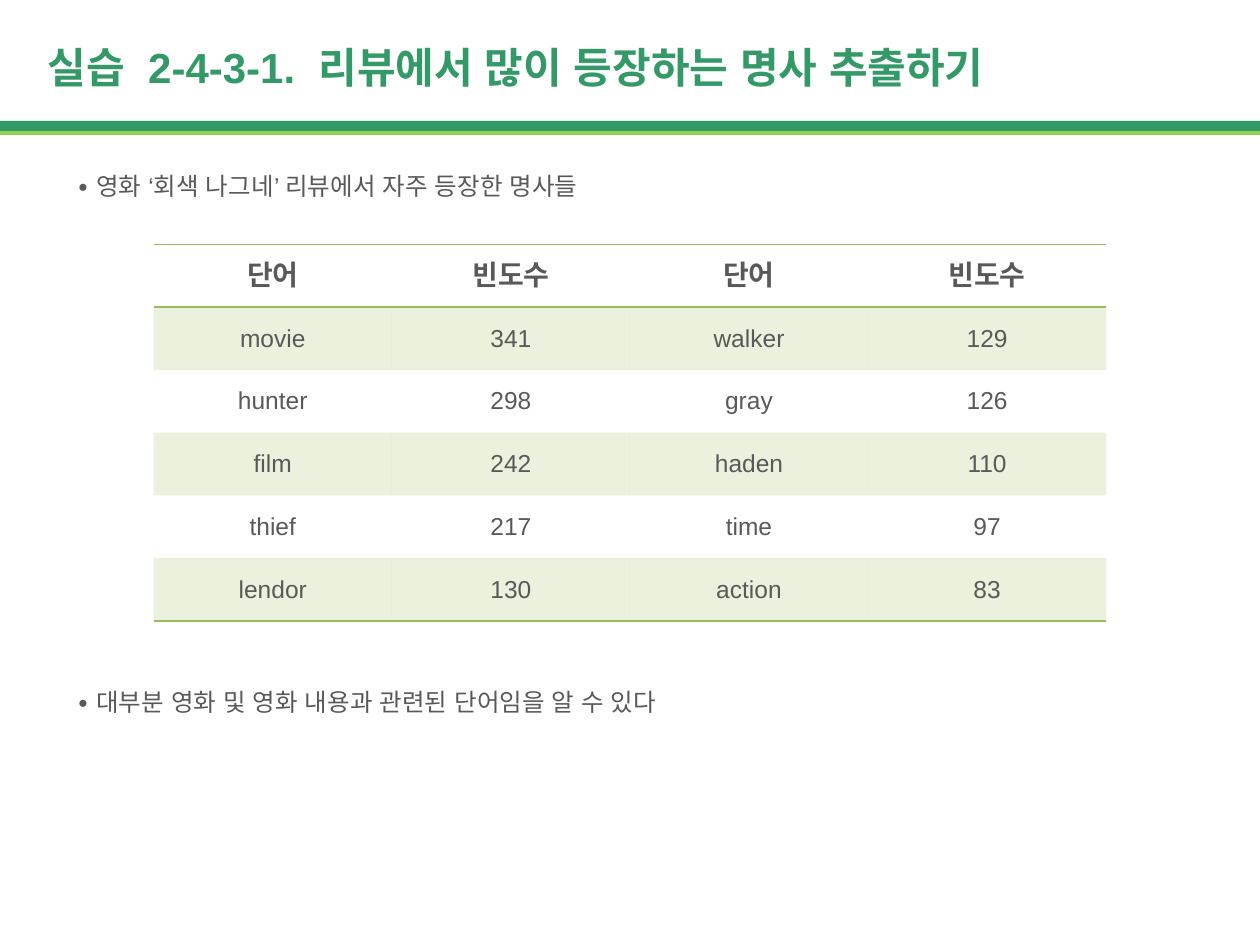
"""Build a slide listing the most frequent nouns in film reviews."""
from lxml.etree import SubElement as Sub
from pptx import Presentation
from pptx.dml.color import RGBColor
from pptx.enum.shapes import MSO_SHAPE as Shape
from pptx.enum.text import MSO_ANCHOR as Anchor, PP_ALIGN as Align
from pptx.oxml import parse_xml
from pptx.oxml.ns import nsdecls, qn
from pptx.util import Inches, Pt

GREEN, LIME, OLIVE, GRAY = "339966", "92D050", "9BBB59", "595959"
KOREAN = "Noto Sans CJK KR"
PLAIN = "{2D5ABB26-0587-4C30-8999-92F81FD0307C}"


def paint(fill, color):
    fill.solid()
    fill.fore_color.rgb = RGBColor.from_string(color)


def write(para, text, size=14, color=GRAY, bold=False, font="Arial"):
    run = para.add_run()
    run.text = text
    run.font.size = Pt(size)
    run.font.bold = bold
    run.font.name = font
    paint(run.font.fill, color)
    Sub(run.font._element, qn("a:ea"), typeface=font)


deck = Presentation()
deck.slide_width, deck.slide_height = Inches(10), Inches(7.5)
slide = deck.slides.add_slide(deck.slide_layouts[6])
shapes = slide.shapes

for top, color in [(0.99, LIME), (0.96, GREEN)]:
    bar = shapes.add_shape(Shape.RECTANGLE, 0, Inches(top), Inches(10), Inches(0.08))
    bar.shadow.inherit = False
    paint(bar.fill, color)
    bar.line.fill.background()

title = shapes.add_textbox(Inches(0.28), Inches(0.28), Inches(8), Inches(0.5))
title.text_frame.word_wrap = False
write(title.text_frame.paragraphs[0], "실습  2-4-3-1.  리뷰에서 많이 등장하는 명사 추출하기",
      size=24, color=GREEN, bold=True)

notes = [
    (1.31, "영화 ‘회색 나그네’ 리뷰에서 자주 등장한 명사들"),
    (5.4, "대부분 영화 및 영화 내용과 관련된 단어임을 알 수 있다"),
]
for top, text in notes:
    box = shapes.add_textbox(Inches(0.5), Inches(top), Inches(8.91), Inches(0.34))
    box.text_frame.word_wrap = True
    para = box.text_frame.paragraphs[0]
    write(para, "∙ ", font=KOREAN)
    write(para, text)

rows = [
    ("단어", "빈도수", "단어", "빈도수"),
    ("movie", "341", "walker", "129"),
    ("hunter", "298", "gray", "126"),
    ("film", "242", "haden", "110"),
    ("thief", "217", "time", "97"),
    ("lendor", "130", "action", "83"),
]
frame = shapes.add_table(len(rows), 4, Inches(1.22), Inches(1.94), Inches(7.56), Inches(2.99))
table = frame.table
table.horz_banding = False
table._tbl.tblPr.find(qn("a:tableStyleId")).text = PLAIN

for r, row in enumerate(rows):
    sides = {0: ["lnB", "lnT"], len(rows) - 1: ["lnB"]}.get(r, [])
    for c, text in enumerate(row):
        cell = table.cell(r, c)
        cell.vertical_anchor = Anchor.MIDDLE
        para = cell.text_frame.paragraphs[0]
        para.alignment = Align.CENTER
        write(para, text, size=14 if r else 16, bold=r == 0)
        props = cell._tc.get_or_add_tcPr()
        if r % 2:
            paint(cell.fill, OLIVE)
            Sub(props.find(".//" + qn("a:srgbClr")), qn("a:alpha"), val="20000")
        else:
            cell.fill.background()
        for side in sides:
            props.insert(0, parse_xml(
                f'<a:{side} {nsdecls("a")} w="12700"><a:solidFill>'
                f'<a:srgbClr val="{OLIVE}"/></a:solidFill></a:{side}>'))

deck.save("out.pptx")
